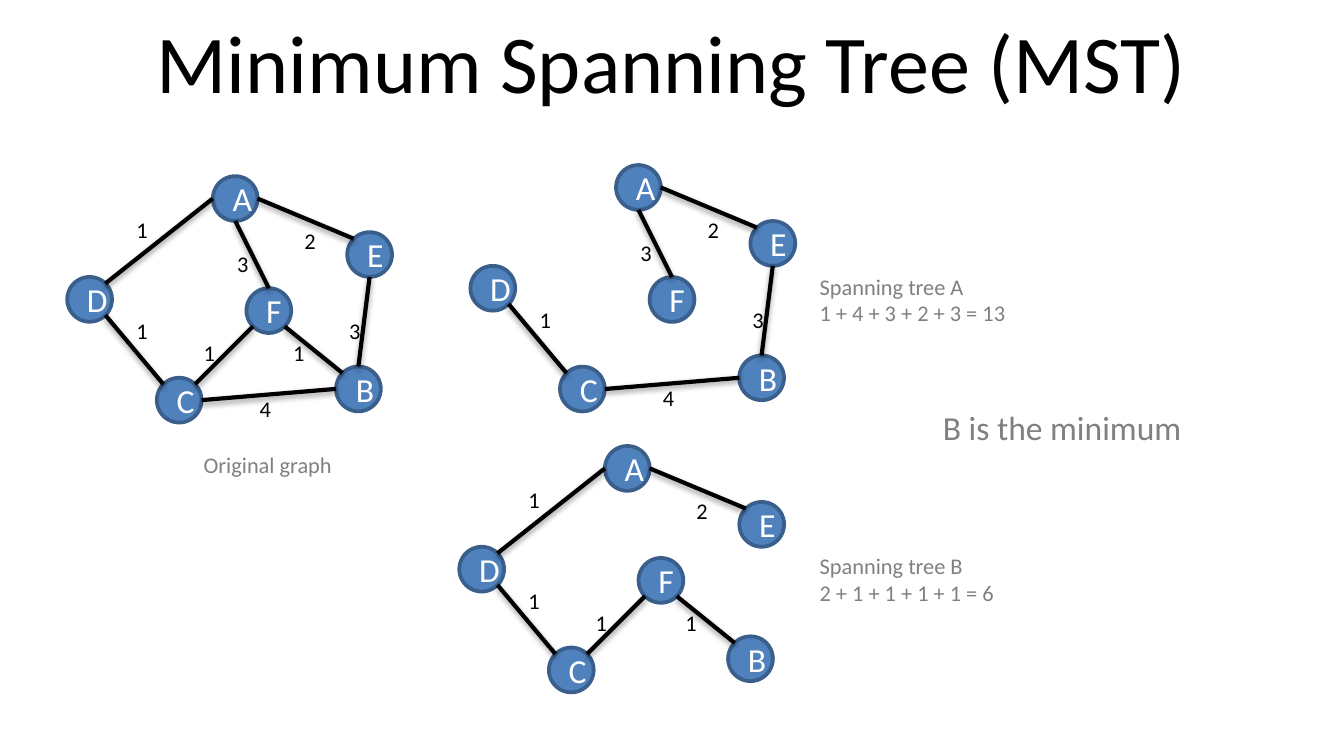
from math import cos, radians, sin
from typing import NamedTuple

from pptx import Presentation
from pptx.dml.color import RGBColor
from pptx.enum.shapes import MSO_CONNECTOR, MSO_SHAPE
from pptx.enum.text import MSO_ANCHOR, MSO_AUTO_SIZE, PP_ALIGN
from pptx.slide import Slide
from pptx.util import Cm, Pt

OVAL = MSO_SHAPE.OVAL
LINE = MSO_CONNECTOR.STRAIGHT
MIDDLE = MSO_ANCHOR.MIDDLE
CENTER = PP_ALIGN.CENTER
GROW = MSO_AUTO_SIZE.SHAPE_TO_FIT_TEXT

BLACK = RGBColor(0x00, 0x00, 0x00)
WHITE = RGBColor(0xFF, 0xFF, 0xFF)
GRAY = RGBColor(0x80, 0x80, 0x80)
BLUE = RGBColor(0x4F, 0x81, 0xBD)
NAVY = RGBColor(0x3A, 0x5F, 0x8C)

FONT = "Calibri"
UNIT = Cm(2.54) // 12
SIZE = 4
EAST, SOUTHEAST, SOUTH, SOUTHWEST = 0, 45, 90, 135
WEST, NORTHWEST, NORTH, NORTHEAST = 180, 225, 270, 315


class Point(NamedTuple):
    x: int
    y: int


class Edge(NamedTuple):
    start: str
    leave: int
    end: str
    enter: int
    weight: str
    label: Point


class Graph(NamedTuple):
    left: float
    top: float
    edges: str


class Note(NamedTuple):
    text: str
    left: float
    top: float
    width: float
    height: float
    size: int


NODES = {
    "A": Point(13, 0),
    "C": Point(8, 18),
    "B": Point(24, 17),
    "D": Point(0, 9),
    "E": Point(25, 5),
    "F": Point(16, 10),
}

EDGES = [
    Edge("A", WEST, "D", NORTHEAST, "1", Point(5, 3)),
    Edge("C", NORTHWEST, "D", SOUTHEAST, "1", Point(5, 12)),
    Edge("C", NORTHEAST, "F", SOUTHWEST, "1", Point(11, 14)),
    Edge("B", NORTHWEST, "F", SOUTHEAST, "1", Point(19, 14)),
    Edge("E", SOUTH, "B", NORTH, "3", Point(24, 12)),
    Edge("E", NORTHWEST, "A", EAST, "2", Point(20, 4)),
    Edge("B", WEST, "C", EAST, "4", Point(16, 19)),
    Edge("A", SOUTH, "F", NORTH, "3", Point(14, 6)),
]

GRAPHS = [
    Graph(1.27, 3.33, "AD CD CF BF EB EA BC AF"),
    Graph(8.89, 3.12, "CD EB EA BC AF"),
    Graph(8.68, 8.43, "AD CD CF BF EA"),
]

NOTES = [
    Note("Original graph", 3.6, 8.41, 2.95, 0.77, 12),
    Note("Spanning tree A\n1 + 4 + 3 + 2 + 3 = 13", 15.24, 5.03, 4.09, 1.28, 12),
    Note("Spanning tree B\n2 + 1 + 1 + 1 + 1 = 6", 15.24, 10.32, 3.86, 1.28, 12),
    Note("B is the minimum", 17.57, 7.57, 5.08, 1.03, 18),
]


def add_text(slide: Slide, note: Note, color: RGBColor) -> None:
    box = slide.shapes.add_textbox(
        Cm(note.left), Cm(note.top), Cm(note.width), Cm(note.height)
    )
    frame = box.text_frame
    frame.text = note.text
    frame.word_wrap = False
    frame.auto_size = GROW
    for line in frame.paragraphs:
        line.font.name = FONT
        line.font.size = Pt(note.size)
        line.font.color.rgb = color


def add_node(slide: Slide, graph: Graph, name: str) -> None:
    spot = NODES[name]
    node = slide.shapes.add_shape(
        OVAL,
        Cm(graph.left) + spot.x * UNIT,
        Cm(graph.top) + spot.y * UNIT,
        SIZE * UNIT,
        SIZE * UNIT,
    )
    node.shadow.inherit = False
    node.fill.solid()
    node.fill.fore_color.rgb = BLUE
    node.line.color.rgb = NAVY
    node.line.width = Pt(2)
    frame = node.text_frame
    frame.text = name
    frame.vertical_anchor = MIDDLE
    line = frame.paragraphs[0]
    line.alignment = CENTER
    line.font.name = FONT
    line.font.size = Pt(18)
    line.font.color.rgb = WHITE


def rim(graph: Graph, name: str, angle: int) -> Point:
    spot = NODES[name]
    half = SIZE / 2
    turn = radians(angle)
    return Point(
        round(Cm(graph.left) + (spot.x + half + half * cos(turn)) * UNIT),
        round(Cm(graph.top) + (spot.y + half + half * sin(turn)) * UNIT),
    )


def add_edge(slide: Slide, graph: Graph, edge: Edge) -> None:
    start = rim(graph, edge.start, edge.leave)
    end = rim(graph, edge.end, edge.enter)
    link = slide.shapes.add_connector(LINE, *start, *end)
    link.line.color.rgb = BLACK
    link.line.width = Pt(2.25)


def add_weight(slide: Slide, graph: Graph, edge: Edge) -> None:
    step = Cm(UNIT.real / Cm(1)).cm
    left = graph.left + edge.label.x * step
    top = graph.top + edge.label.y * step
    add_text(slide, Note(edge.weight, left, top, 0.74, 0.77, 12), BLACK)


def add_graph(slide: Slide, graph: Graph) -> None:
    names = graph.edges.split()
    edges = [edge for edge in EDGES if edge.start + edge.end in names]
    for name in NODES:
        add_node(slide, graph, name)
    for edge in edges:
        add_edge(slide, graph, edge)
    for edge in edges:
        add_weight(slide, graph, edge)


def add_title(slide: Slide, text: str) -> None:
    title = slide.shapes.title
    title.left, title.top = Cm(1.27), Cm(-0.05)
    title.width, title.height = Cm(22.86), Cm(2.39)
    title.text_frame.text = text
    title.text_frame.vertical_anchor = MIDDLE
    line = title.text_frame.paragraphs[0]
    line.alignment = CENTER
    line.font.name = FONT
    line.font.size = Pt(44)
    line.font.color.rgb = BLACK


def main() -> None:
    deck = Presentation()
    deck.slide_width, deck.slide_height = Cm(25.4), Cm(14.29)
    slide = deck.slides.add_slide(deck.slide_layouts[5])
    add_title(slide, "Minimum Spanning Tree (MST)")
    for graph in GRAPHS:
        add_graph(slide, graph)
    for note in NOTES:
        add_text(slide, note, GRAY)
    deck.save("out.pptx")


if __name__ == "__main__":
    main()
